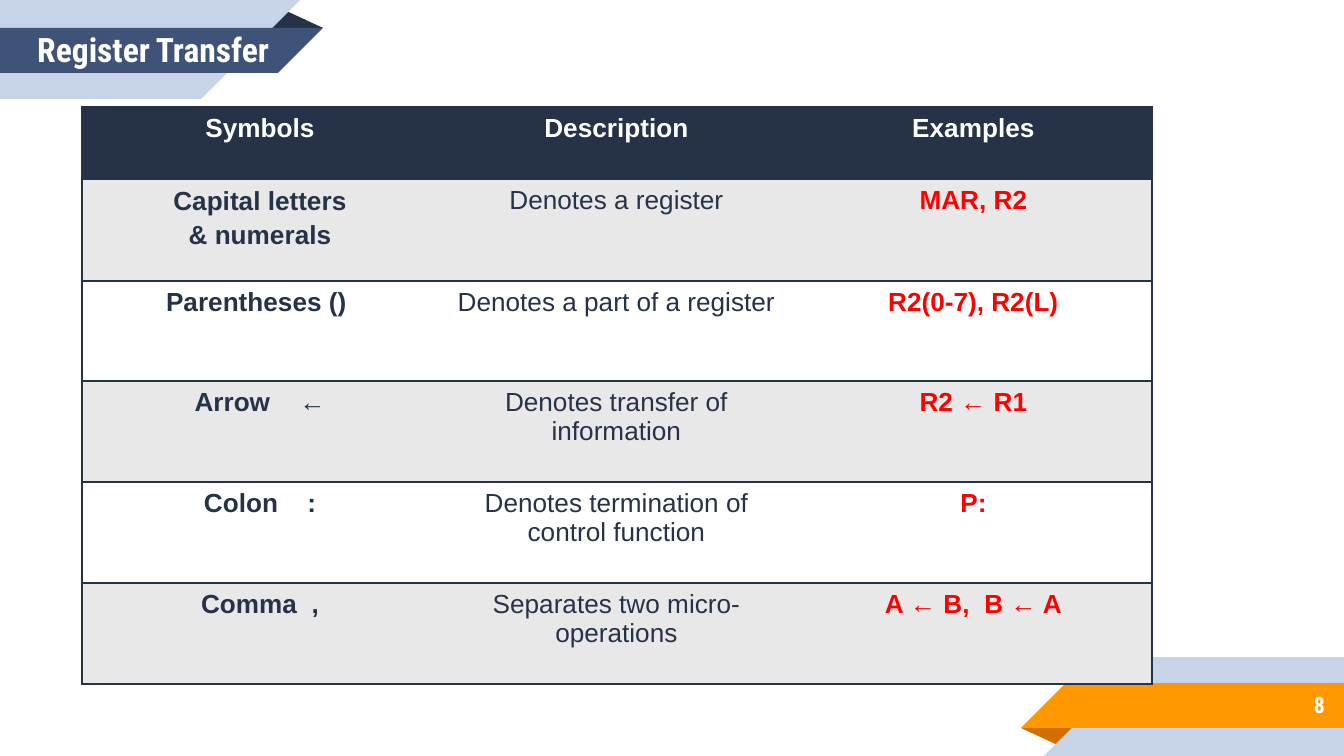
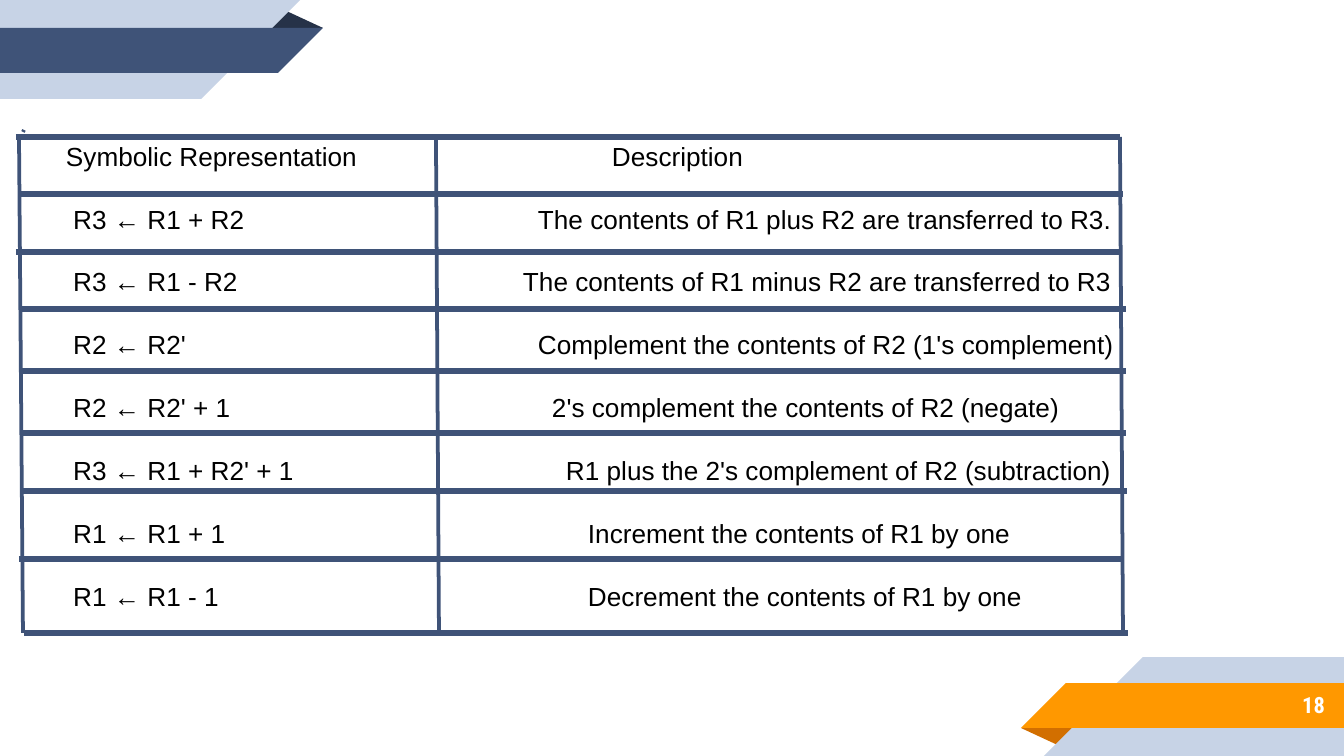
from lxml.etree import SubElement
from pptx import Presentation
from pptx.dml.color import RGBColor
from pptx.enum.shapes import MSO_CONNECTOR, MSO_SHAPE
from pptx.enum.text import MSO_ANCHOR, PP_ALIGN
from pptx.oxml import parse_xml
from pptx.oxml.ns import nsdecls, qn
from pptx.util import Emu, Pt

WIDTH, HEIGHT = 1344, 756
SCALE = 9144000 / WIDTH
NAVY, BLUE, PALE = "263248", "3F5378", "C7D3E6"
ORANGE, RUST = "FF9800", "D26F00"
WHITE, GREY, RED, BLACK = "FFFFFF", "E8E8E9", "FF0000", "000000"

HEADING = {"name": "Roboto Condensed", "size": Pt(18), "bold": True}
NUMBER = {**HEADING, "size": Pt(12)}
BODY = {"name": "Arial", "size": Pt(14), "bold": False}
STRONG = {**BODY, "bold": True}
SPACER = {**BODY, "size": Pt(11)}
SPACE_WIDTH = 3.89

SYMBOLS = [
    ("Symbols", "Description", "Examples"),
    ("Capital letters\n& numerals", "Denotes a register", "MAR, R2"),
    ("Parentheses () ", "Denotes a part of a register", "R2(0-7), R2(L)"),
    (("Arrow", 4, "←"), "Denotes transfer of information", "R2 ← R1"),
    (("Colon", 4, ":"), "Denotes termination of control function", "P:"),
    (("Comma", 2, ","), "Separates two micro-operations", ("A ← B,", 2, "B ← A")),
]
SYMBOL_WIDTHS = [356, 357, 357]
SYMBOL_HEIGHTS = [72, 102, 100, 101, 101, 101]

OPERATIONS = [
    ("Symbolic Representation", "Description", 546),
    (" R3 ← R1 + R2", "The contents of R1 plus R2 are transferred to R3.", 472),
    (" R3 ← R1 - R2", "The contents of R1 minus R2 are transferred to R3", 457),
    (" R2 ← R2'", "Complement the contents of R2 (1's complement)", 472),
    (" R2 ← R2' + 1", "2's complement the contents of R2 (negate)", 486),
    (" R3 ← R1 + R2' + 1", "R1 plus the 2's complement of R2 (subtraction)", 500),
    (" R1 ← R1 + 1", "Increment the contents of R1 by one", 522),
    (" R1 ← R1 - 1", "Decrement the contents of R1 by one", 522),
]
RULE_STARTS = [(0, 0), (3, 57), (0, 115), (6, 172), (6, 234), (6, 296),
               (7, 354), (3, 422), (8, 496)]
RULE_LENGTH = 1104
COLUMN_EDGES = [(3, 7), (420, 423), (1104, 1107)]


def px(length):
    """Turn px into EMU."""
    return Emu(round(length * SCALE))


def rgb(value):
    """Turn a hex string into a colour."""
    return RGBColor.from_string(value)


def apply(target, formats):
    """Set every attribute named in formats."""
    for key, value in formats.items():
        setattr(target, key, value)


def write(paragraph, words, formats, colour):
    """Add a formatted run and return it."""
    run = paragraph.add_run()
    run.text = words
    apply(run.font, formats)
    run.font.color.rgb = rgb(colour)
    return run


def text_frame(slide, box, formats):
    """Add a text box and return its frame."""
    frame = slide.shapes.add_textbox(*map(px, box)).text_frame
    apply(frame, formats)
    return frame


def corner_band(slide, fold, strip, turned=False):
    """Draw the folded ribbon at the top left, or turned at the bottom right."""
    ribbon = slide.shapes.add_group_shape().shapes
    half_turn = 180 if turned else 0
    parts = [
        (MSO_SHAPE.ISOSCELES_TRIANGLE, (266, 10, 57, 18), 0, fold),
        (MSO_SHAPE.RECTANGLE, (0, 0, 201, 99), 0, PALE),
        (MSO_SHAPE.RIGHT_TRIANGLE, (201, 0, 99, 99), 90, PALE),
        (MSO_SHAPE.RECTANGLE, (0, 28, 278, 45), 0, strip),
        (MSO_SHAPE.RIGHT_TRIANGLE, (278, 28, 45, 45), 90, strip),
    ]
    for kind, (x, y, w, h), angle, colour in parts:
        if turned:
            x, y = WIDTH - x - w, HEIGHT - y - h
        piece = ribbon.add_shape(kind, *map(px, (x, y, w, h)))
        if kind == MSO_SHAPE.ISOSCELES_TRIANGLE:
            piece.adjustments[0] = 0.32
        piece.rotation = angle + half_turn
        piece.shadow.inherit = False
        piece.fill.solid()
        piece.fill.fore_color.rgb = rgb(colour)
        piece.line.fill.background()


def page_number(slide, box, number):
    """Write the slide number at the right of its box."""
    frame = text_frame(slide, box, {"word_wrap": True, "vertical_anchor": MSO_ANCHOR.MIDDLE})
    paragraph = frame.paragraphs[0]
    paragraph.alignment = PP_ALIGN.RIGHT
    write(paragraph, str(number), NUMBER, WHITE)


def title(slide, box, first, second):
    """Write the two title words on the top ribbon."""
    paragraph = text_frame(slide, box, {"word_wrap": False}).paragraphs[0]
    write(paragraph, first, HEADING, WHITE)
    write(paragraph, " ", SPACER, BLACK)
    write(paragraph, second, HEADING, WHITE)


def framed_slide(deck, number):
    """Add a slide with both ribbons and its number."""
    slide = deck.slides.add_slide(deck.slide_layouts[6])
    corner_band(slide, NAVY, BLUE)
    corner_band(slide, RUST, ORANGE, turned=True)
    page_number(slide, (1119, 681, 219, 47), number)
    return slide


def border_cell(cell, column, last):
    """Rule the cell above and below, and at the outer sides only."""
    edges = {"lnL": column == 0, "lnR": column == last, "lnT": True, "lnB": True}
    properties = cell._tc.get_or_add_tcPr()
    for place, (edge, ruled) in enumerate(edges.items()):
        paint = (f'<a:solidFill><a:srgbClr val="{NAVY}"/></a:solidFill>'
                 if ruled else "<a:noFill/>")
        properties.insert(place, parse_xml(
            f'<a:{edge} {nsdecls("a")} w="{Pt(1)}">{paint}</a:{edge}>'))


def write_cell(cell, content, formats, colour):
    """Write centred lines, or two words set apart by a gap of some spaces."""
    if isinstance(content, tuple):
        before, spaces, after = content
        paragraph = cell.text_frame.paragraphs[0]
        write(paragraph, before, formats, colour)
        gap = write(paragraph, " ", formats, colour)
        gap.font._element.set("spc", str(round((spaces - 1) * SPACE_WIDTH * 100)))
        write(paragraph, after, formats, colour)
    else:
        lines = content.split("\n")
        for index, line in enumerate(lines):
            paragraph = (cell.text_frame.add_paragraph() if index
                         else cell.text_frame.paragraphs[0])
            if len(lines) > 1:
                apply(paragraph, {"line_spacing": 1.05, "space_before": Pt(1.4)})
            write(paragraph, line, formats, colour)
    for paragraph in cell.text_frame.paragraphs:
        paragraph.alignment = PP_ALIGN.CENTER


def symbol_table(slide, left, top):
    """Build the table of register transfer symbols."""
    box = left, top, sum(SYMBOL_WIDTHS), sum(SYMBOL_HEIGHTS)
    table = slide.shapes.add_table(
        len(SYMBOLS), len(SYMBOL_WIDTHS), *map(px, box)).table
    apply(table, {"first_row": False, "horz_banding": False})
    for column, width in zip(table.columns, SYMBOL_WIDTHS):
        column.width = px(width)
    for row, height in zip(table.rows, SYMBOL_HEIGHTS):
        row.height = px(height)
    styles = [(STRONG, NAVY), (BODY, NAVY), (STRONG, RED)]
    for r, entries in enumerate(SYMBOLS):
        background = NAVY if r == 0 else GREY if r % 2 else WHITE
        for c, content in enumerate(entries):
            cell = table.cell(r, c)
            cell.fill.solid()
            cell.fill.fore_color.rgb = rgb(background)
            border_cell(cell, c, len(entries) - 1)
            formats, colour = styles[c] if r else (STRONG, WHITE)
            write_cell(cell, content, formats, colour)


def operation_list(slide, box):
    """Write each operation and, at a tab stop, its description."""
    frame = text_frame(slide, box, {
        "word_wrap": True, "margin_left": px(43), "margin_top": px(38)})
    for index, (operation, description, stop) in enumerate(OPERATIONS):
        paragraph = frame.add_paragraph() if index else frame.paragraphs[0]
        paragraph.space_after = Pt(16.9)
        stops = SubElement(paragraph._p.get_or_add_pPr(), qn("a:tabLst"))
        SubElement(stops, qn("a:tab"), pos=str(px(stop)), algn="l")
        write(paragraph, f"{operation}\t{description}", BODY, BLACK)


def rule(slide, start, end, weight):
    """Draw a straight blue line."""
    line = slide.shapes.add_connector(MSO_CONNECTOR.STRAIGHT, *map(px, start + end))
    line.line.color.rgb = rgb(BLUE)
    line.line.width = Pt(weight)
    SubElement(line._element.spPr, qn("a:effectLst"))


def operation_grid(slide, left, top):
    """Rule the grid around the operations."""
    rule(slide, (left + 8, top - 7), (left + 7, top - 5), 2)
    for x, y in RULE_STARTS:
        rule(slide, (left + x, top + y), (left + x + RULE_LENGTH, top + y), 3)
    bottom = top + RULE_STARTS[-1][1]
    for upper, lower in COLUMN_EDGES:
        rule(slide, (left + upper, top), (left + lower, bottom), 2)


def symbols_slide(deck):
    """Build the slide of symbols."""
    slide = framed_slide(deck, 8)
    symbol_table(slide, 82, 107)
    title(slide, (24, 22, 263, 54), "Register", "Transfer")


def operations_slide(deck):
    """Build the slide of arithmetic operations."""
    slide = framed_slide(deck, 18)
    operation_list(slide, (23, 102, 1304, 579))
    operation_grid(slide, 16, 137)


def main():
    """Build the deck and save it."""
    deck = Presentation()
    apply(deck, {"slide_width": px(WIDTH), "slide_height": px(HEIGHT)})
    symbols_slide(deck)
    operations_slide(deck)
    deck.save("out.pptx")


if __name__ == "__main__":
    main()
